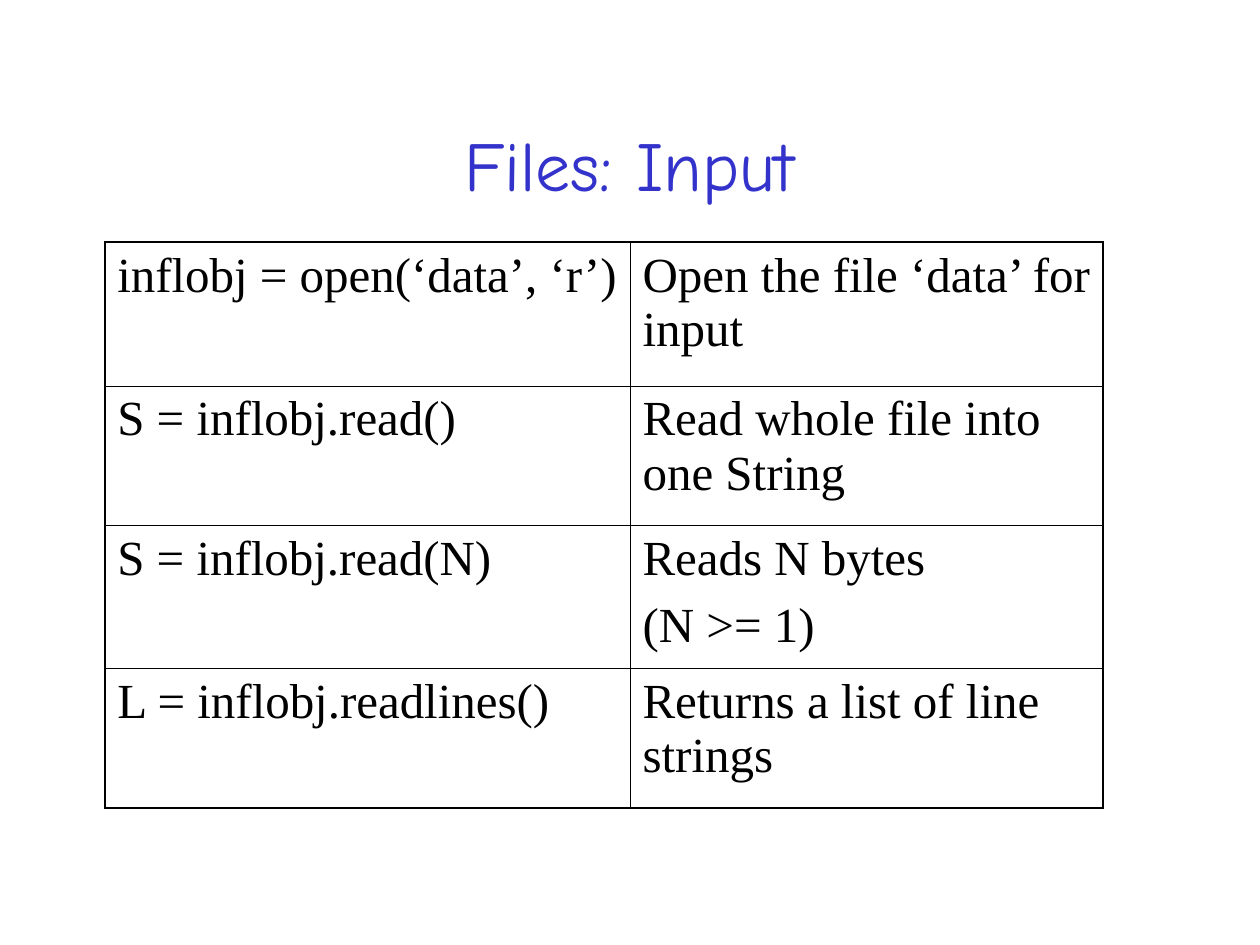
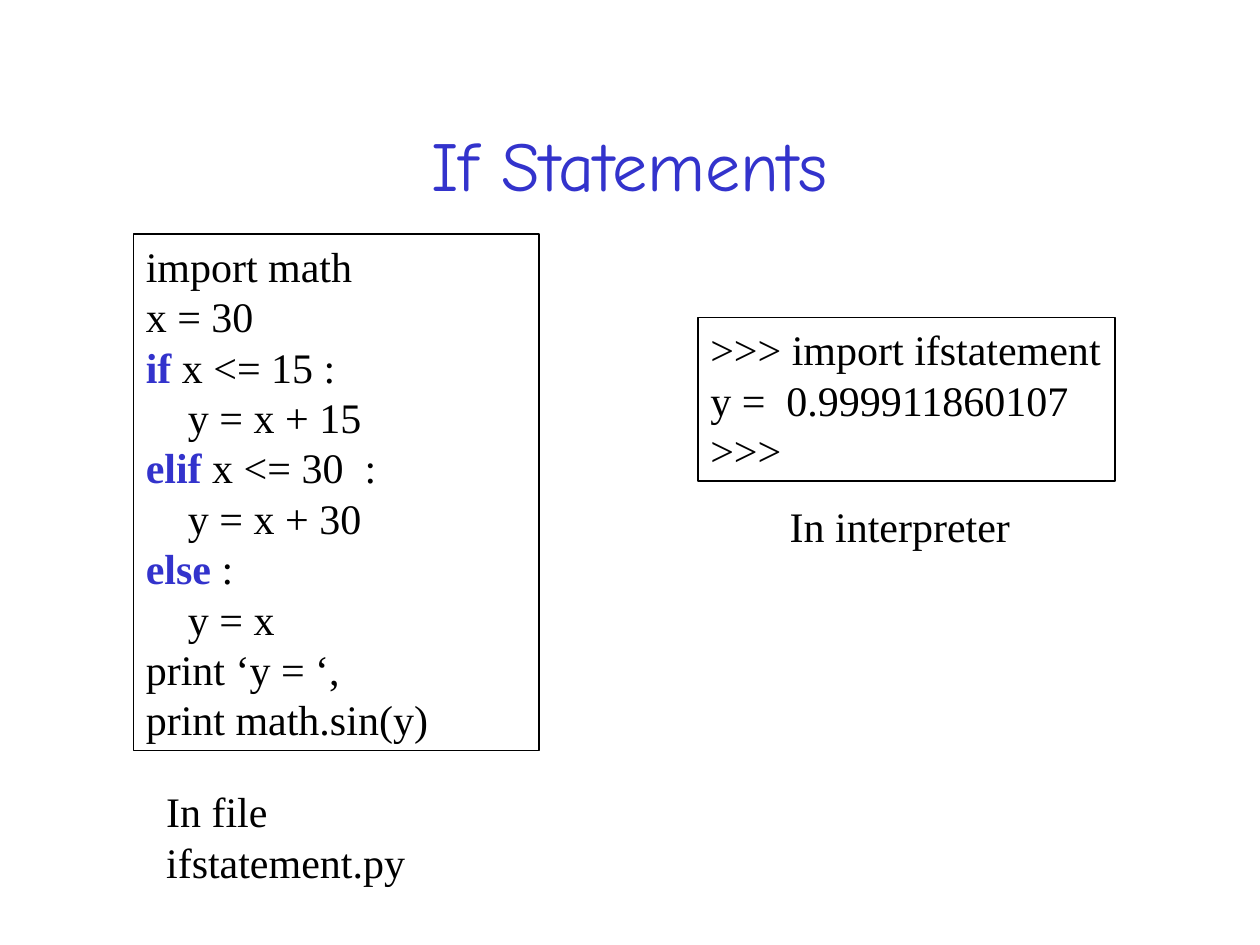
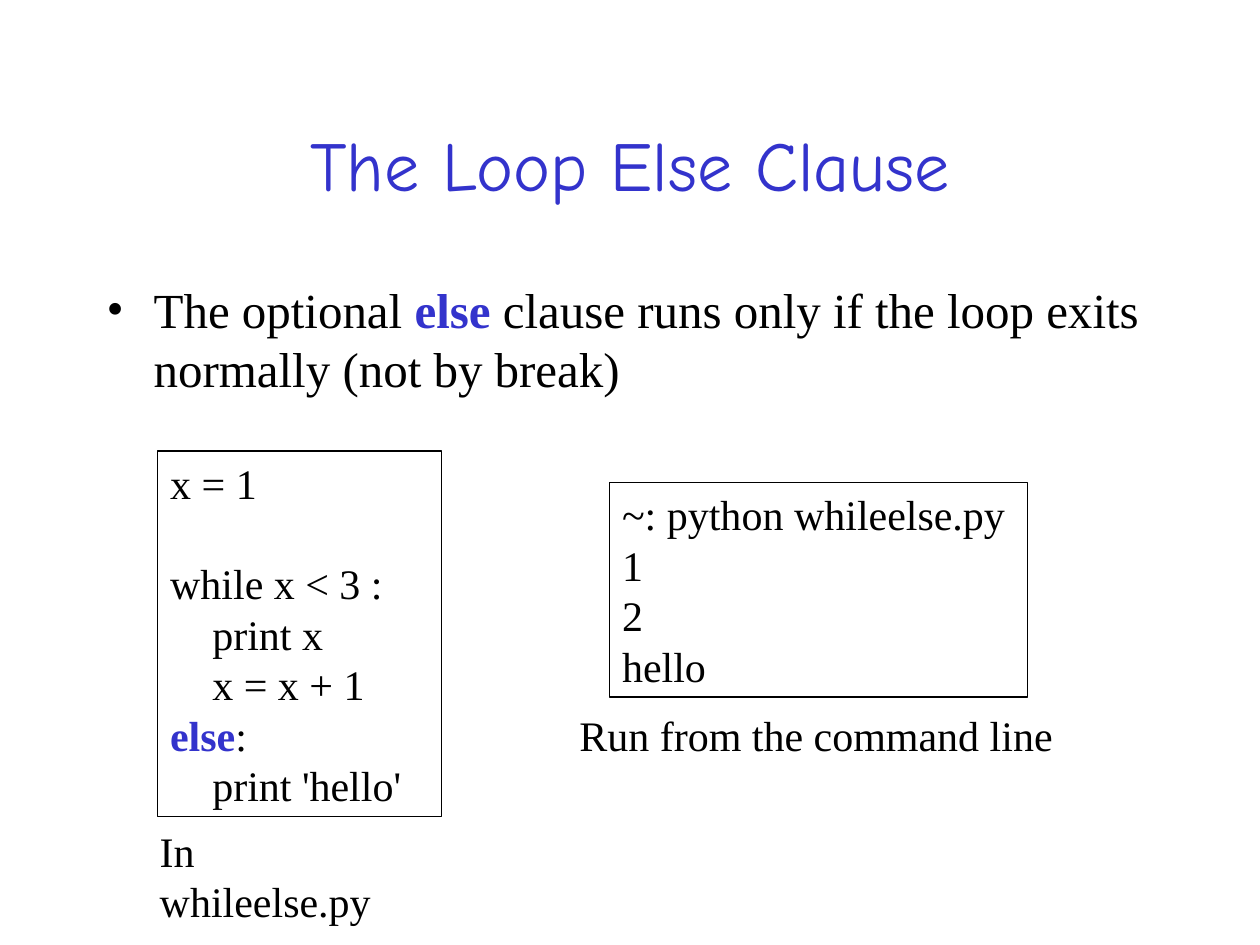
from dataclasses import dataclass

from lxml.etree import SubElement
from pptx import Presentation
from pptx.dml.color import RGBColor as RGB
from pptx.enum.shapes import MSO_SHAPE as SHAPE
from pptx.enum.text import MSO_ANCHOR as ANCHOR, MSO_AUTO_SIZE as AUTO, PP_ALIGN as ALIGN
from pptx.oxml.ns import qn
from pptx.util import Cm, Pt


@dataclass(frozen=True)
class Theme:
    ink: RGB = RGB(0x00, 0x00, 0x00)
    accent: RGB = RGB(0x33, 0x33, 0xCC)
    title_font: str = "Comic Neue"
    body_font: str = "Times New Roman"
    title_size: float = 40
    body_size: float = 28
    code_size: float = 24
    leading: float = 1.2
    para_gap: float = 7
    box_line: float = 0.75
    outer_line: float = 1.08
    inner_line: float = 0.45
    code_indent: float = 0.85
    bullet_indent: float = 0.95


@dataclass(frozen=True)
class Box:
    left: float
    top: float
    width: float
    height: float

    def emu(self) -> tuple:
        return Cm(self.left), Cm(self.top), Cm(self.width), Cm(self.height)


@dataclass(frozen=True)
class Line:
    text: str = ""
    key: str = ""
    rest: str = ""
    level: int = 0
    gap: int = 0


@dataclass(frozen=True)
class Panel:
    box: Box
    lines: tuple


@dataclass(frozen=True)
class Caption:
    box: Box
    text: str


T = Theme()
TITLE = Box(1.9, 1.7, 21.59, 3.18)

INPUT_TABLE = Box(2.11, 4.88, 20.12, 11.41)
INPUT_COLS = (10.59, 9.53)
INPUT_HEIGHTS = (2.9, 2.82, 2.87, 2.82)
INPUT_ROWS = (
    ("inflobj = open(‘data’, ‘r’)", "Open the file ‘data’ for input"),
    ("S = inflobj.read()", "Read whole file into one String"),
    ("S = inflobj.read(N)", "Reads N bytes\n(N >= 1)"),
    ("L = inflobj.readlines()", "Returns a list of line strings"),
)

IF_ITEMS = (
    Panel(Box(2.69, 4.72, 8.18, 10.41), (
        Line("import math"),
        Line("x = 30"),
        Line(key="if", rest=" x <= 15 :"),
        Line("y = x + 15", level=1),
        Line(key="elif", rest=" x <= 30  :"),
        Line("y = x + 30", level=1),
        Line(key="else", rest=" :"),
        Line("y = x", level=1),
        Line("print ‘y = ‘,"),
        Line("print math.sin(y)"),
    )),
    Caption(Box(3.1, 15.72, 7.57, 1.27), "In file ifstatement.py"),
    Panel(Box(14.07, 6.4, 8.41, 3.3), (
        Line(">>> import ifstatement"),
        Line("y =  0.999911860107"),
        Line(">>>"),
    )),
    Caption(Box(15.67, 9.96, 4.95, 1.27), "In interpreter"),
)

ELSE_BULLET = Box(1.9, 5.51, 21.59, 3.38)
ELSE_RULE = Line("The optional ", "else",
                 " clause runs only if the loop exits normally (not by break)")
ELSE_ITEMS = (
    Panel(Box(3.18, 9.09, 5.72, 7.37), (
        Line("x = 1"),
        Line("while x < 3 :", gap=1),
        Line("print x", level=1),
        Line("x = x + 1", level=1),
        Line(key="else", rest=":"),
        Line("print 'hello'", level=1),
    )),
    Panel(Box(12.29, 9.73, 8.43, 4.32), (
        Line("~: python whileelse.py"),
        Line("1"),
        Line("2"),
        Line("hello"),
    )),
    Caption(Box(11.43, 14.17, 10.06, 1.27), "Run from the command line"),
    Caption(Box(2.97, 16.51, 5.66, 1.27), "In whileelse.py"),
)


def add_run(p, text: str, size: float, font: str = T.body_font,
            color: RGB = T.ink, bold: bool = False) -> None:
    r = p.add_run()
    r.text = text
    r.font.name = font
    r.font.size = Pt(size)
    r.font.color.rgb = color
    r.font.bold = bold


def nth_paragraph(tf, i: int):
    return tf.add_paragraph() if i else tf.paragraphs[0]


def write_line(p, line: Line, size: float) -> None:
    p.alignment = ALIGN.LEFT
    p.line_spacing = Pt(size * T.leading)
    if line.gap:
        p.space_before = Pt(line.gap * size * T.leading)
    if line.level:
        pPr = p._p.get_or_add_pPr()
        pPr.set("marL", str(Cm(line.level * T.code_indent)))
        pPr.set("indent", "0")
    for text, is_key in ((line.text, False), (line.key, True), (line.rest, False)):
        if text:
            add_run(p, text, size, color=T.accent if is_key else T.ink, bold=is_key)


def add_panel(s, panel: Panel) -> None:
    sp = s.shapes.add_shape(SHAPE.RECTANGLE, *panel.box.emu())
    sp.shadow.inherit = False
    sp.fill.background()
    sp.line.color.rgb = T.ink
    sp.line.width = Pt(T.box_line)
    tf = sp.text_frame
    tf.word_wrap = True
    tf.auto_size = AUTO.SHAPE_TO_FIT_TEXT
    tf.vertical_anchor = ANCHOR.TOP
    for i, line in enumerate(panel.lines):
        write_line(nth_paragraph(tf, i), line, T.code_size)


def add_caption(s, caption: Caption) -> None:
    tf = s.shapes.add_textbox(*caption.box.emu()).text_frame
    tf.word_wrap = False
    tf.auto_size = AUTO.SHAPE_TO_FIT_TEXT
    write_line(tf.paragraphs[0], Line(caption.text), T.code_size)


def add_items(s, items: tuple) -> None:
    for item in items:
        if isinstance(item, Panel):
            add_panel(s, item)
        else:
            add_caption(s, item)


def add_bullet(s, box: Box, line: Line) -> None:
    tf = s.shapes.add_textbox(*box.emu()).text_frame
    tf.word_wrap = True
    p = tf.paragraphs[0]
    write_line(p, line, T.body_size)
    p.space_before = Pt(T.para_gap)
    pPr = p._p.get_or_add_pPr()
    pPr.set("marL", str(Cm(T.bullet_indent)))
    pPr.set("indent", str(-Cm(T.bullet_indent)))
    SubElement(SubElement(pPr, qn("a:buClr")), qn("a:srgbClr"), val=str(T.ink))
    SubElement(pPr, qn("a:buFont"), typeface=T.body_font)
    SubElement(pPr, qn("a:buChar"), char="•")


def add_border(cell, side: str, width: float) -> None:
    ln = SubElement(cell._tc.get_or_add_tcPr(), qn(f"a:ln{side}"), w=str(Pt(width)))
    SubElement(SubElement(ln, qn("a:solidFill")), qn("a:srgbClr"), val=str(T.ink))


def add_grid(s, box: Box, rows: tuple, cols: tuple, heights: tuple) -> None:
    table = s.shapes.add_table(len(rows), len(cols), *box.emu()).table
    table.first_row = table.horz_banding = False
    for col, width in zip(table.columns, cols):
        col.width = Cm(width)
    for row, height in zip(table.rows, heights):
        row.height = Cm(height)
    for y, row in enumerate(rows):
        for x, text in enumerate(row):
            cell = table.cell(y, x)
            outer = {"L": x == 0, "R": x == len(cols) - 1,
                     "T": y == 0, "B": y == len(rows) - 1}
            for side, is_outer in outer.items():
                add_border(cell, side, T.outer_line if is_outer else T.inner_line)
            cell.fill.background()
            for i, part in enumerate(text.split("\n")):
                p = nth_paragraph(cell.text_frame, i)
                p.space_before = Pt(T.para_gap)
                add_run(p, part, T.body_size)


def add_slide(prs, title: str):
    s = prs.slides.add_slide(prs.slide_layouts.get_by_name("Title Only"))
    sp = s.shapes.title
    sp.left, sp.top, sp.width, sp.height = TITLE.emu()
    tf = sp.text_frame
    tf.auto_size = AUTO.NONE
    tf.vertical_anchor = ANCHOR.MIDDLE
    p = tf.paragraphs[0]
    p.alignment = ALIGN.CENTER
    add_run(p, title, T.title_size, T.title_font, T.accent)
    return s


def main() -> None:
    prs = Presentation()
    prs.slide_width, prs.slide_height = Cm(25.4), Cm(19.05)

    s = add_slide(prs, "Files: Input")
    add_grid(s, INPUT_TABLE, INPUT_ROWS, INPUT_COLS, INPUT_HEIGHTS)

    s = add_slide(prs, "If Statements")
    add_items(s, IF_ITEMS)

    s = add_slide(prs, "The Loop Else Clause")
    add_bullet(s, ELSE_BULLET, ELSE_RULE)
    add_items(s, ELSE_ITEMS)

    prs.save("out.pptx")


if __name__ == "__main__":
    main()
